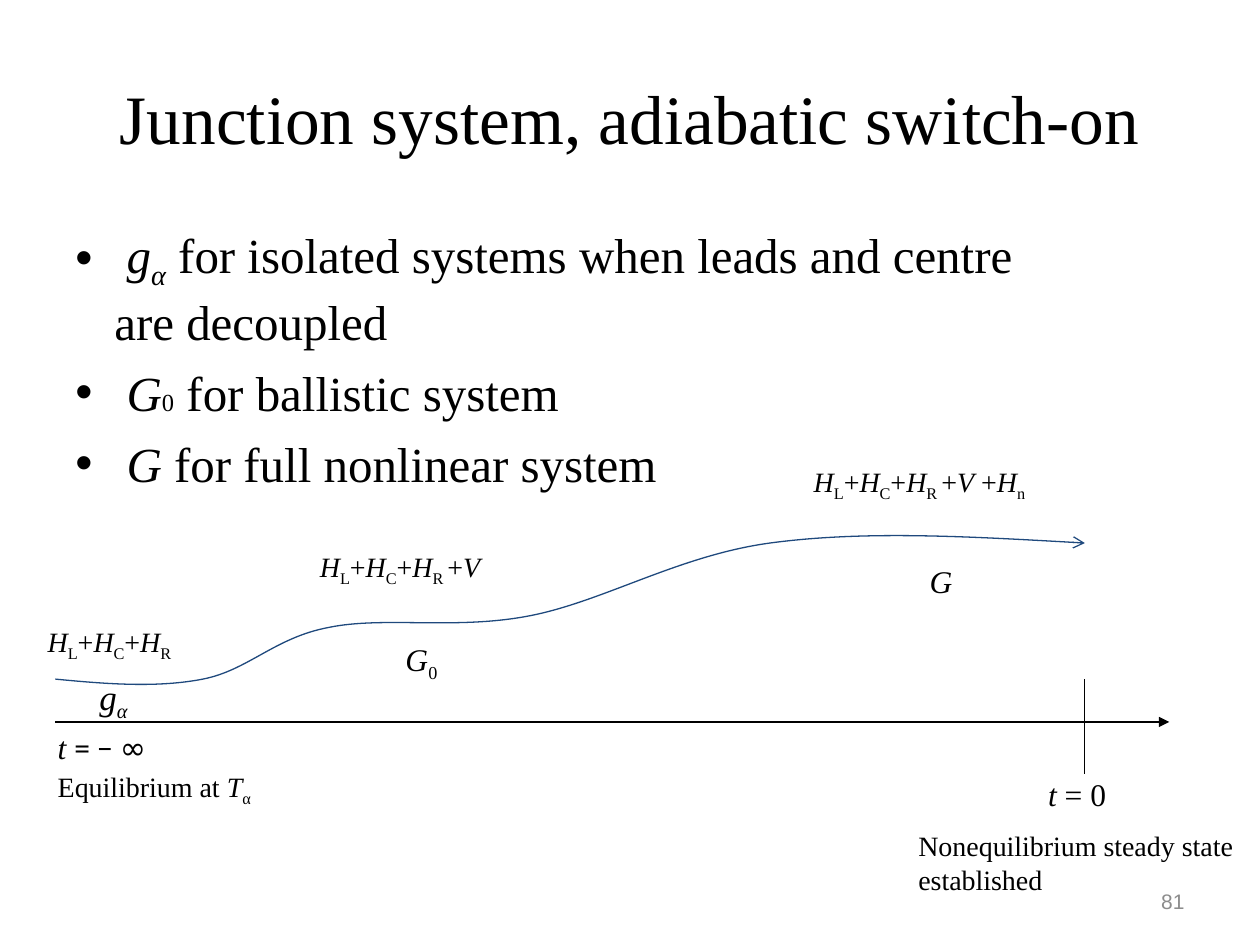
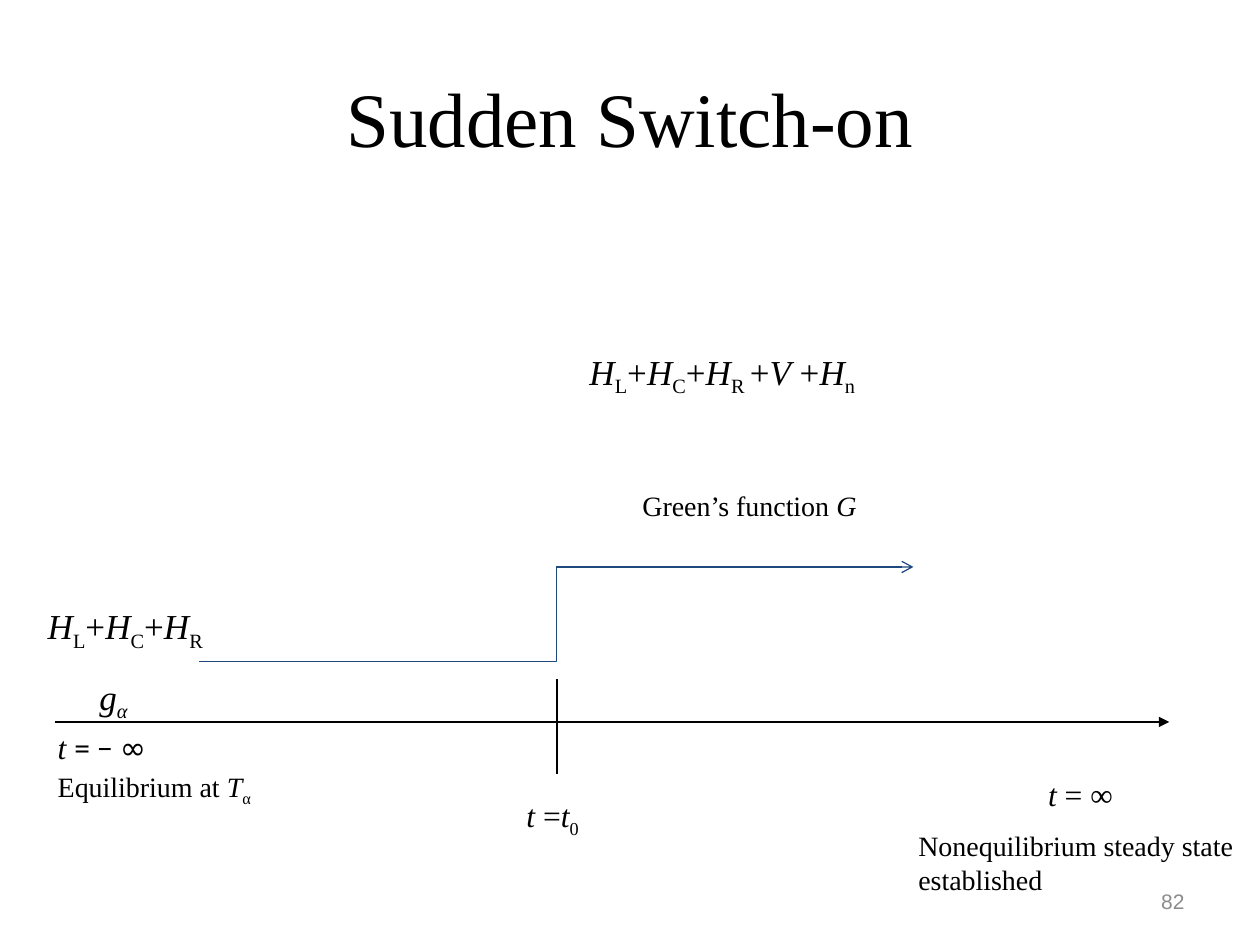
from dataclasses import dataclass
from typing import NamedTuple, Optional

from lxml import etree
from pptx import Presentation
from pptx.dml.color import RGBColor
from pptx.enum.shapes import MSO_CONNECTOR
from pptx.enum.text import MSO_ANCHOR, MSO_AUTO_SIZE, PP_ALIGN
from pptx.oxml.ns import qn
from pptx.util import Pt

PX = 9144  # EMU per px, at 100 px to the inch
STRAIGHT, ELBOW = MSO_CONNECTOR.STRAIGHT, MSO_CONNECTOR.ELBOW
MIDDLE = MSO_ANCHOR.MIDDLE
CENTER, RIGHT = PP_ALIGN.CENTER, PP_ALIGN.RIGHT
GROW = MSO_AUTO_SIZE.SHAPE_TO_FIT_TEXT
TITLE_ONLY = 5


@dataclass(frozen=True)
class Theme:
    ink: RGBColor = RGBColor(0, 0, 0)
    curve: RGBColor = RGBColor(0x1F, 0x49, 0x7D)
    muted: RGBColor = RGBColor(0x8C, 0x8C, 0x8C)
    font: str = "Times New Roman"
    number_font: str = "Arial"
    title: float = 44
    long_title: float = 39.6
    body: float = 28
    large: float = 20
    label: float = 18
    small: float = 16
    tiny_index: float = 14
    number: float = 12
    line: float = 0.75


THEME = Theme()


class Span(NamedTuple):
    text: str
    italic: bool = False
    lowered: bool = False
    font: str = THEME.font
    size: Optional[float] = None


def symbol(text):
    return Span(text, italic=True)


def index(text):
    return Span(text, lowered=True)


# Formulas
PLUS = Span("+")
G_ALPHA = [symbol("g"), Span("α", italic=True, lowered=True)]
TWO_TERMS = [symbol("H"), index("L"), PLUS, symbol("H"), index("C"), PLUS, symbol("H")]
DECOUPLED = TWO_TERMS + [index("R")]
COUPLED = TWO_TERMS + [index("R "), PLUS, symbol("V")]
NONLINEAR = COUPLED + [Span(" +"), symbol("H"), index("n")]


# Text
def write_spans(para, spans, size, color=THEME.ink):
    for span in spans:
        run = para.add_run()
        run.text = span.text
        run.font.name = span.font
        run.font.size = Pt(span.size or size)
        run.font.italic = span.italic
        run.font.color.rgb = color
        if span.lowered:
            run._r.get_or_add_rPr().set("baseline", "-25000")


def add_box(page, left, top, width, height):
    box = page.shapes.add_textbox(left * PX, top * PX, width * PX, height * PX)
    box.text_frame.word_wrap = True
    return box


def add_label(page, left, top, width, height, spans, size):
    box = add_box(page, left, top, width, height)
    box.text_frame.auto_size = GROW
    write_spans(box.text_frame.paragraphs[0], spans, size)


def add_bullets(page, left, top, width, height, items):
    frame = add_box(page, left, top, width, height).text_frame
    for number, spans in enumerate(items):
        para = frame.add_paragraph() if number else frame.paragraphs[0]
        props = para._p.get_or_add_pPr()
        props.set("marL", str(81 * PX))
        props.set("indent", str(-31 * PX))
        etree.SubElement(props, qn("a:buFont")).set("typeface", THEME.number_font)
        etree.SubElement(props, qn("a:buChar")).set("char", "•")
        if number:
            para.space_before = Pt(7)
        write_spans(para, spans, THEME.body)


def add_page(deck, title, title_size, number):
    page = deck.slides.add_slide(deck.slide_layouts[TITLE_ONLY])
    box = page.shapes.title
    box.left, box.top, box.width, box.height = 50 * PX, 30 * PX, 900 * PX, 125 * PX
    box.text_frame.text = title
    box.text_frame.vertical_anchor = MIDDLE
    para = box.text_frame.paragraphs[0]
    para.alignment = CENTER
    para.font.name = THEME.font
    para.font.size = Pt(title_size)
    para.font.color.rgb = THEME.ink

    footer = add_box(page, 717, 695, 233, 40).text_frame
    footer.vertical_anchor = MIDDLE
    footer.paragraphs[0].alignment = RIGHT
    write_spans(footer.paragraphs[0], [Span(str(number), font=THEME.number_font)],
                THEME.number, THEME.muted)
    return page


# Lines
def style_line(shape, color, arrow=None):
    shape.line.color.rgb = color
    shape.line.width = Pt(THEME.line)
    props = shape.element.spPr
    if arrow:
        etree.SubElement(props.find(qn("a:ln")), qn("a:tailEnd")).set("type", arrow)
    if props.find(qn("a:effectLst")) is None:
        etree.SubElement(props, qn("a:effectLst"))


def add_line(page, start, end, color=THEME.ink, arrow=None, kind=STRAIGHT):
    points = [value * PX for value in (*start, *end)]
    style_line(page.shapes.add_connector(kind, *points), color, arrow)


def add_curve(page, start, control_points):
    """Draw cubic curves; every three points make one segment."""
    builder = page.shapes.build_freeform(*start, scale=PX)
    builder.add_line_segments(control_points, close=False)
    shape = builder.convert_to_shape()
    shape.shadow.inherit = False
    shape.fill.background()
    steps = list(shape.element.iter(qn("a:lnTo")))
    path = steps[0].getparent()
    for first in range(0, len(steps), 3):
        cubic = etree.SubElement(path, qn("a:cubicBezTo"))
        for step in steps[first:first + 3]:
            cubic.append(step[0])
            path.remove(step)
    style_line(shape, THEME.curve, "arrow")


# Time axis with its start and end states
def add_timeline(page, tick, end_time):
    add_line(page, (44, 573), (928, 573), arrow="triangle")
    add_line(page, (tick, 539), (tick, 614))
    add_label(page, 69, 531, 63, 43, G_ALPHA, THEME.large)
    add_label(page, 36, 573, 133, 40,
              [symbol("t "), Span("= − ", font="Calibri"), Span("∞", font="Comic Neue")],
              THEME.label)
    add_label(page, 36, 606, 208, 37,
              [Span("Equilibrium at "), symbol("T"), index("α")], THEME.small)
    add_label(page, 822, 610, 92, 40, [symbol("t"), Span(" = " + end_time)], THEME.label)
    add_label(page, 719, 653, 312, 64,
              [Span("Nonequilibrium steady state established")], THEME.small)


def build_adiabatic(deck):
    page = add_page(deck, "Junction system, adiabatic switch-on", THEME.long_title, 81)
    gap = Span(" ")
    add_bullets(page, 0, 173, 850, 230, [
        [gap, *G_ALPHA, Span(" for isolated systems when leads and centre are decoupled")],
        [gap, symbol("G"), Span("0", size=THEME.tiny_index), Span(" for ballistic system")],
        [gap, symbol("G"), Span(" for full nonlinear system")],
    ])
    add_timeline(page, 861, "0")
    add_curve(page, (44, 539), [
        (85, 543), (125, 546), (161, 539),
        (197, 532), (218, 506), (261, 498),
        (304, 489), (361, 500), (419, 489),
        (478, 478), (538, 441), (611, 431),
        (685, 421), (773, 426), (861, 431),
    ])
    add_label(page, 28, 491, 158, 37, DECOUPLED, THEME.small)
    add_label(page, 244, 431, 183, 37, COUPLED, THEME.small)
    add_label(page, 636, 364, 233, 37, NONLINEAR, THEME.small)
    add_label(page, 312, 503, 67, 40, [symbol("G"), index("0")], THEME.label)
    add_label(page, 728, 441, 50, 40, [symbol("G")], THEME.label)


def build_sudden(deck):
    page = add_page(deck, "Sudden Switch-on", THEME.title, 82)
    add_timeline(page, 442, "∞")
    add_label(page, 28, 475, 158, 44, DECOUPLED, THEME.large)
    add_label(page, 458, 273, 283, 44, NONLINEAR, THEME.large)
    add_label(page, 500, 383, 242, 37, [Span("Green’s function "), symbol("G")], THEME.small)
    add_label(page, 408, 627, 92, 40,
              [symbol("t "), Span("="), symbol("t"), index("0")], THEME.label)
    add_line(page, (158, 525), (725, 450), THEME.curve, "arrow", ELBOW)


def main():
    deck = Presentation()
    deck.slide_width, deck.slide_height = 1000 * PX, 750 * PX
    build_adiabatic(deck)
    build_sudden(deck)
    deck.save("out.pptx")


if __name__ == "__main__":
    main()
